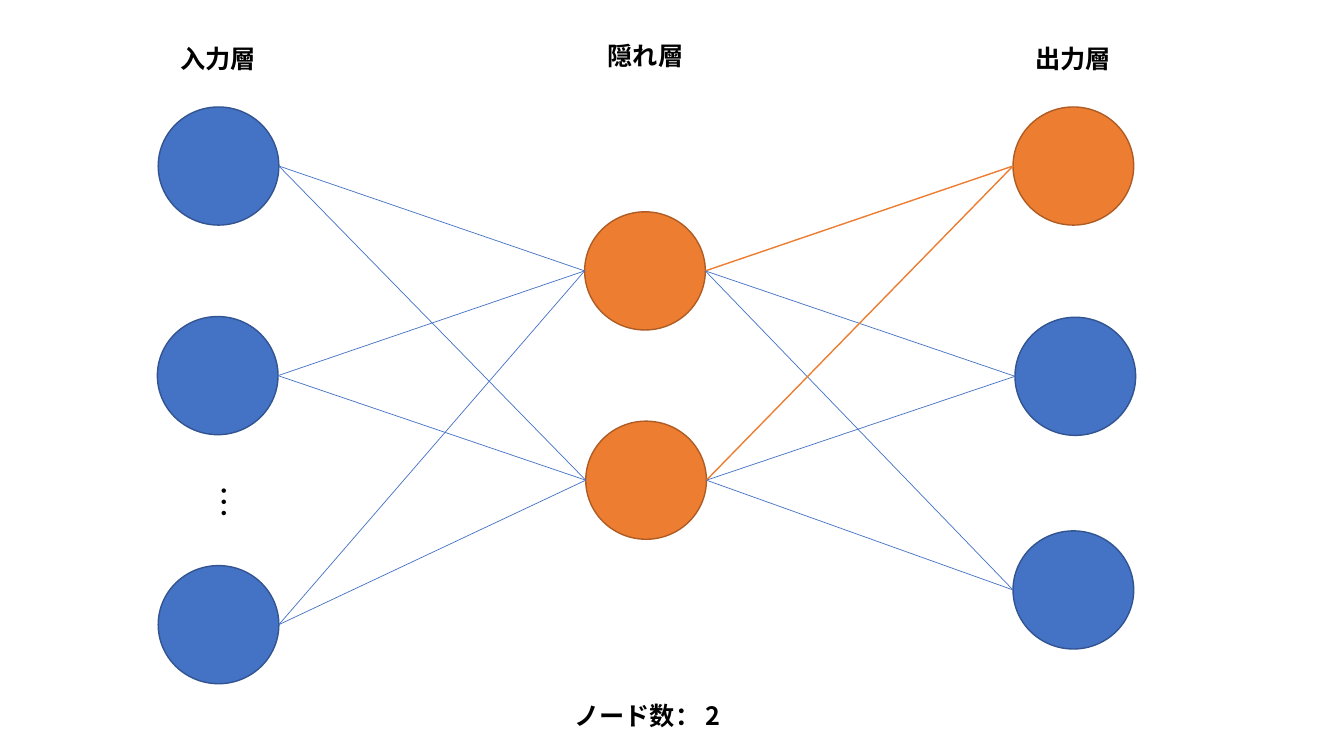
"""Build a slide of a neural network with an input, a hidden and an output layer."""
from itertools import product

from lxml.etree import SubElement
from pptx import Presentation
from pptx.dml.color import RGBColor
from pptx.enum.shapes import MSO_CONNECTOR as Connector, MSO_SHAPE as Shape
from pptx.enum.text import MSO_AUTO_SIZE as AutoSize, PP_ALIGN as Align
from pptx.oxml.ns import qn
from pptx.util import Pt

BLUE = RGBColor(0x44, 0x72, 0xC4)
BLUE_EDGE = RGBColor(0x32, 0x54, 0x91)
ORANGE = RGBColor(0xED, 0x7D, 0x31)
ORANGE_EDGE = RGBColor(0xAF, 0x5C, 0x24)
BLACK = RGBColor(0, 0, 0)
EDGES = {BLUE: BLUE_EDGE, ORANGE: ORANGE_EDGE}
FONT = "Noto Sans CJK JP"

NODE_WIDTH, NODE_HEIGHT = 86.2, 84.4
LAYERS = {
    "input": [(113, 76.4, BLUE), (112.4, 226.1, BLUE), (113, 404, BLUE)],
    "hidden": [(417.6, 151.3, ORANGE), (418.4, 300.8, ORANGE)],
    "output": [(723.6, 76.4, ORANGE), (725, 226.6, BLUE), (723.6, 379.2, BLUE)],
}
HEADING = {"size": Pt(18), "bold": True}
DOTS = {"size": Pt(24), "bold": False}
LABELS = [
    ("入力層", (121, 27.4, 69.8, 29.1), HEADING, "horz"),
    ("出力層", (731.5, 27.4, 69.8, 29.1), HEADING, "horz"),
    ("隠れ層", (426.2, 25.2, 69.8, 29.1), HEADING, "horz"),
    ("…", (134.6, 339.8, 43.9, 35.3), DOTS, "eaVert"),
    ("ノード数： 2", (398.9, 496.8, 127.4, 29.1), HEADING, "horz"),
]


def add_node(slide, left, top, color):
    box = map(Pt, (left, top, NODE_WIDTH, NODE_HEIGHT))
    node = slide.shapes.add_shape(Shape.OVAL, *box)
    node.shadow.inherit = False
    node.fill.solid()
    node.fill.fore_color.rgb = color
    node.line.color.rgb = EDGES[color]
    node.line.width = Pt(1)


def add_link(slide, source, target, color, width):
    middle = NODE_HEIGHT / 2
    ends = (source[0] + NODE_WIDTH, source[1] + middle, target[0], target[1] + middle)
    link = slide.shapes.add_connector(Connector.STRAIGHT, *map(Pt, ends))
    link.line.color.rgb = color
    link.line.width = Pt(width)
    SubElement(link._element.spPr, qn("a:effectLst"))


def add_label(slide, text, box, style, direction):
    frame = slide.shapes.add_textbox(*map(Pt, box)).text_frame
    frame.word_wrap = False
    frame.auto_size = AutoSize.SHAPE_TO_FIT_TEXT
    frame._txBody.bodyPr.set("vert", direction)
    paragraph = frame.paragraphs[0]
    paragraph.alignment = Align.CENTER
    run = paragraph.add_run()
    run.text = text
    for name, value in {**style, "name": FONT}.items():
        setattr(run.font, name, value)
    run.font.color.rgb = BLACK
    SubElement(run._r.get_or_add_rPr(), qn("a:ea")).set("typeface", FONT)


def main():
    presentation = Presentation()
    presentation.slide_width, presentation.slide_height = Pt(960), Pt(540)
    slide = presentation.slides.add_slide(presentation.slide_layouts[6])
    for layer in LAYERS.values():
        for node in layer:
            add_node(slide, *node)
    for source, target in product(LAYERS["input"], LAYERS["hidden"]):
        add_link(slide, source, target, BLUE, 0.5)
    for source, target in product(LAYERS["hidden"], LAYERS["output"]):
        color = target[2]
        add_link(slide, source, target, color, 1 if color == ORANGE else 0.5)
    for label in LABELS:
        add_label(slide, *label)
    presentation.save("out.pptx")


if __name__ == "__main__":
    main()
